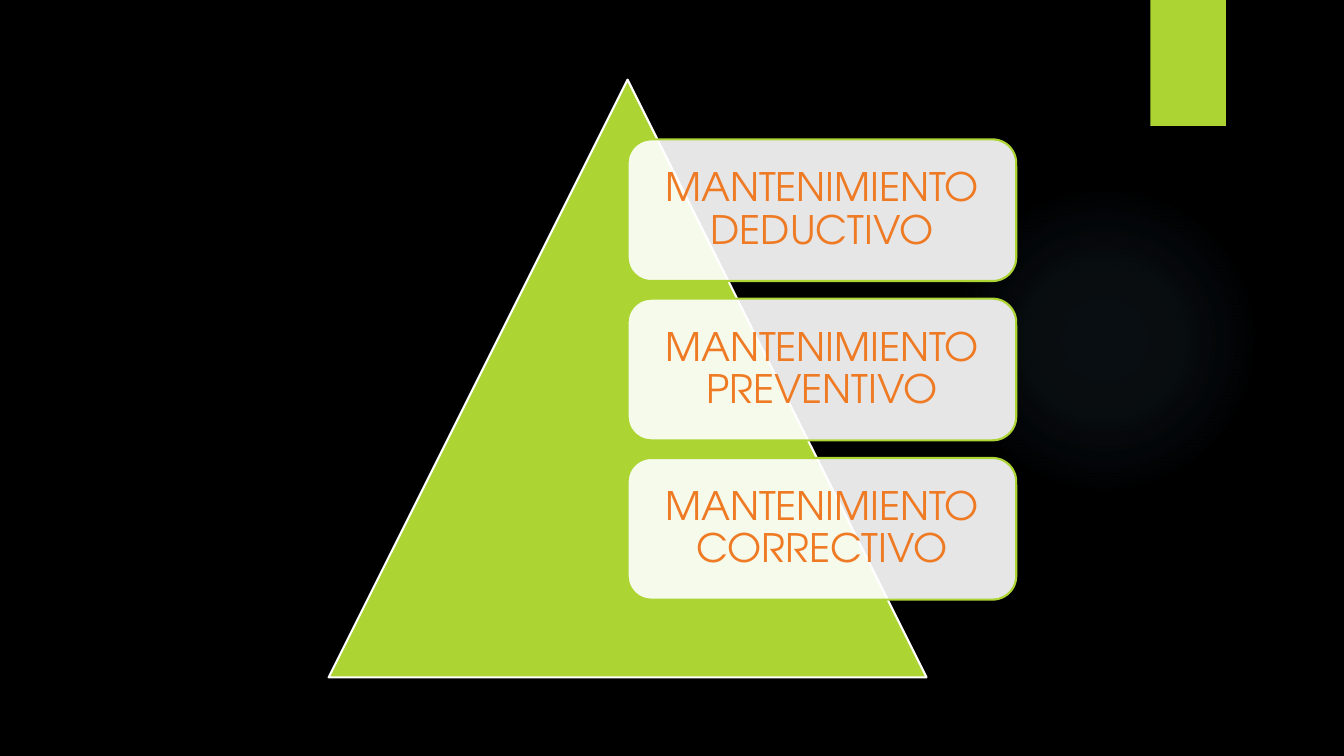
from pptx import Presentation
from pptx.dml.color import RGBColor
from pptx.enum.shapes import MSO_SHAPE
from pptx.enum.text import MSO_ANCHOR, PP_ALIGN
from pptx.oxml import parse_xml
from pptx.oxml.ns import nsdecls, qn
from pptx.util import Inches, Pt
from lxml.etree import SubElement

COLORS = {"back": "000000", "lime": "ACD433", "white": "FFFFFF",
          "orange": "EF7A24", "glow": "7AC4F0"}
FONT = "TeX Gyre Adventor"
KINDS = ["DEDUCTIVO", "PREVENTIVO", "CORRECTIVO"]


def rgb(name):
    return RGBColor.from_string(COLORS[name])


def add_form(slide, kind, box, fill, line=None, alpha=None):
    """Add a preset shape; box is left, top, width, height in inches."""
    form = slide.shapes.add_shape(kind, *map(Inches, box))
    form.shadow.inherit = False
    form.fill.solid()
    form.fill.fore_color.rgb = rgb(fill)
    if alpha is not None:
        color = form.fill._xPr.find(qn("a:solidFill"))[0]
        SubElement(color, qn("a:alpha")).set("val", str(alpha * 1000))
    if line:
        form.line.color.rgb = rgb(line)
        form.line.width = Pt(1.5)
    else:
        form.line.fill.background()
    return form


def put_text(form, text, size=28, color="orange", inset=0.12):
    frame = form.text_frame
    frame.word_wrap = True
    frame.vertical_anchor = MSO_ANCHOR.MIDDLE
    frame.margin_left = frame.margin_right = Inches(inset)
    frame.margin_top = frame.margin_bottom = Inches(inset)
    par = frame.paragraphs[0]
    par.alignment = PP_ALIGN.CENTER
    par.line_spacing = 0.9
    run = par.add_run()
    run.text = text
    run.font.name = FONT
    run.font.size = Pt(size)
    run.font.color.rgb = rgb(color)


def add_glow(slide, box):
    """Add a round light that fades out towards its edge."""
    form = add_form(slide, MSO_SHAPE.OVAL, box, "glow")
    stops = "".join(
        f'<a:gs pos="{pos * 1000}"><a:srgbClr val="{COLORS["glow"]}">'
        f'<a:alpha val="{alpha * 1000}"/></a:srgbClr></a:gs>'
        for pos, alpha in [(0, 7), (36, 6), (69, 0), (100, 0)])
    grad = parse_xml(
        f'<a:gradFill {nsdecls("a")} rotWithShape="1"><a:gsLst>{stops}</a:gsLst>'
        '<a:path path="circle"><a:fillToRect l="50000" t="50000" r="50000" '
        'b="50000"/></a:path></a:gradFill>')
    props = form.fill._xPr
    props.replace(props.find(qn("a:solidFill")), grad)


def add_decor(slide):
    add_glow(slide, (9.41, 1.83, 3.08, 3.08))
    add_form(slide, MSO_SHAPE.RECTANGLE, (11.41, 0, 0.75, 1.25), "lime")


def add_pyramid(slide, left, top, side):
    """Add the triangle with cards stacked from its centre line."""
    add_form(slide, MSO_SHAPE.ISOSCELES_TRIANGLE, (left, top, side, side),
             "lime", line="white")
    width, height, step = side * 0.65, side * 0.237, side * 0.2665
    for row, kind in enumerate(KINDS):
        box = (left + side / 2, top + side * 0.1 + row * step, width, height)
        card = add_form(slide, MSO_SHAPE.ROUNDED_RECTANGLE, box, "white",
                        line="lime", alpha=90)
        put_text(card, f"MANTENIMIENTO {kind}")


def main():
    deck = Presentation()
    deck.slide_width, deck.slide_height = Inches(13.33), Inches(7.5)
    slide = deck.slides.add_slide(deck.slide_layouts[6])
    slide.background.fill.solid()
    slide.background.fill.fore_color.rgb = rgb("back")
    add_decor(slide)
    add_pyramid(slide, 3.26, 0.79, 5.93)
    deck.save("out.pptx")


if __name__ == "__main__":
    main()
